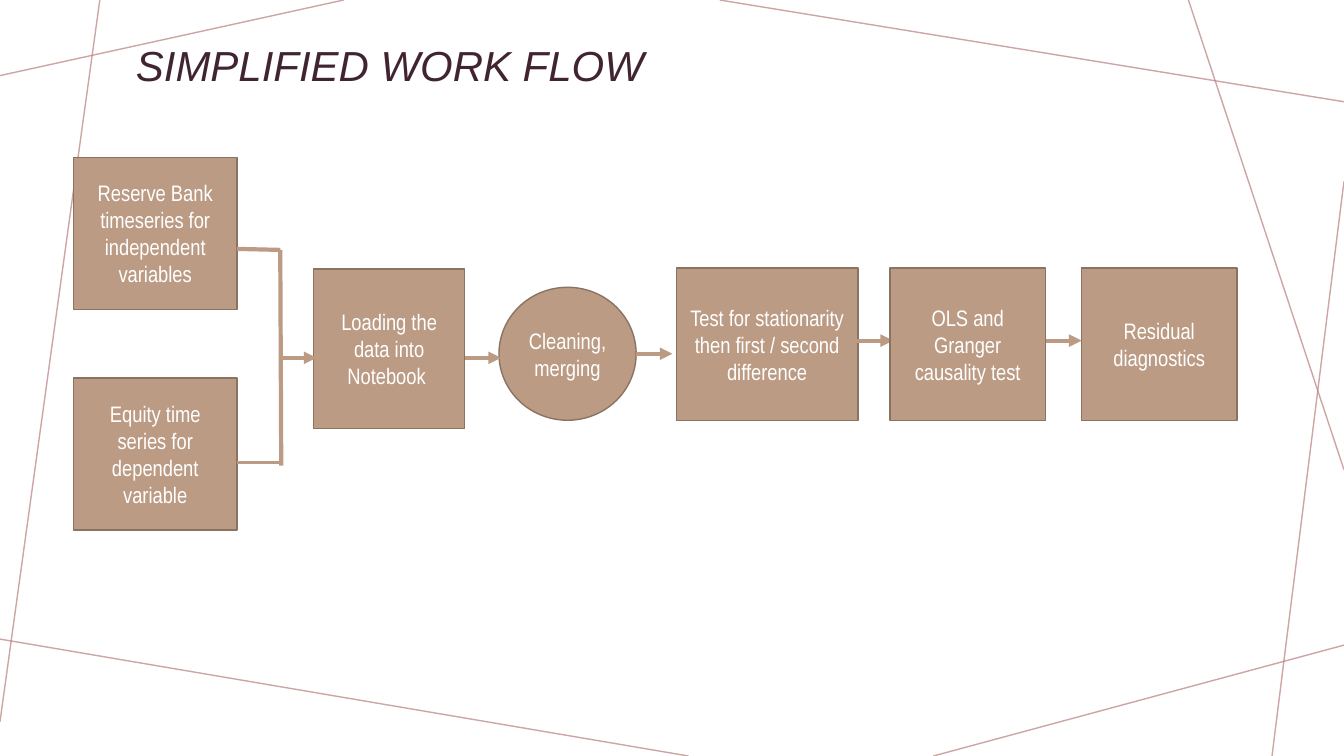
from collections import namedtuple

from lxml.etree import SubElement
from pptx import Presentation
from pptx.dml.color import RGBColor
from pptx.enum.shapes import MSO_CONNECTOR as Connector, MSO_SHAPE as Shape
from pptx.enum.text import MSO_ANCHOR as Anchor, PP_ALIGN as Align
from pptx.oxml.ns import qn
from pptx.util import Pt

ROSE = RGBColor(0xBA, 0x7F, 0x80)
PLUM = RGBColor(0x41, 0x24, 0x31)
TAN = RGBColor(0xBC, 0x9B, 0x84)
BROWN = RGBColor(0x8B, 0x73, 0x62)
WHITE = RGBColor(0xFF, 0xFF, 0xFF)

Box = namedtuple("Box", "left top width height")
PAGE = Box(0, 0, 960, 540)
TITLE = Box(90, -5.8, 780, 108.7)
FLOW = Box(52.6, 112.3, 831, 266.4)

STEP_HEIGHT = 108.7
STEP_MARGIN = 6.7
SOURCE_WIDTH = 116.6
TEST_WIDTH = 110.9
ARROW_LENGTH = 25.9
JOIN_X = 147.6

BACKDROP = [
    (245.5, 0, 0, 54),
    (71.3, 0, 0, 515.5),
    (491.8, 540, 0, 456.5),
    (960, 460.8, 666.7, 540),
    (960, 129.6, 908.6, 540),
    (960, 335.5, 848.9, 0),
    (960, 72.7, 514.1, 0),
]
PREPARATION = [
    ("Reserve Bank timeseries for independent variables",
     Shape.RECTANGLE, Box(0, 0, SOURCE_WIDTH, STEP_HEIGHT)),
    ("Equity time series for dependent variable",
     Shape.RECTANGLE, Box(0, 157.7, SOURCE_WIDTH, STEP_HEIGHT)),
    ("Loading the data into Notebook ",
     Shape.RECTANGLE, Box(171.4, 79.9, 108, 113.8)),
    ("Test for stationarity then first / second difference",
     Shape.RECTANGLE, Box(430.6, 79.2, 129.6, STEP_HEIGHT)),
    ("Cleaning, merging", Shape.OVAL, Box(303.8, 92.9, 98, 95)),
]
ANALYSIS = [
    ("OLS and Granger causality test",
     Shape.RECTANGLE, Box(583.2, 79.2, TEST_WIDTH, STEP_HEIGHT)),
    ("Residual diagnostics",
     Shape.RECTANGLE, Box(720, 79.2, TEST_WIDTH, STEP_HEIGHT)),
]
BRACKET = [
    (SOURCE_WIDTH, 65.5, JOIN_X, 66.2, 3),
    (SOURCE_WIDTH, 218.2, 149.8, 218.2, 2.25),
    (148.3, 220.3, JOIN_X, 66.2, 3),
]
ARROW_STARTS = [(JOIN_X, 143.3), (279.4, 143.3), (401.8, 140.4),
                (559.4, 131), (694.1, 131)]


def add_line(page, box, ends, color, width):
    """Draw a straight, shadowless line with ends relative to the box."""
    x1, y1, x2, y2 = ends
    line = page.shapes.add_connector(
        Connector.STRAIGHT, Pt(box.left + x1), Pt(box.top + y1),
        Pt(box.left + x2), Pt(box.top + y2))
    line.line.color.rgb = color
    line.line.width = Pt(width)
    SubElement(line._element.spPr, qn("a:effectLst"))
    return line


def add_backdrop(page, box):
    """Draw the translucent lines that cross the page."""
    for ends in BACKDROP:
        line = add_line(page, box, ends, ROSE, 1)
        color = line._element.spPr.find(".//" + qn("a:srgbClr"))
        SubElement(color, qn("a:alpha"), val="70000")


def add_title(page, box):
    """Write the slide title in the box."""
    title = page.shapes.add_textbox(*map(Pt, box))
    frame = title.text_frame
    frame.word_wrap = True
    frame.vertical_anchor = Anchor.MIDDLE
    para = frame.paragraphs[0]
    para.text = "SIMPLIFIED WORK FLOW"
    para.line_spacing = 0.9
    para.font.name = "Arial"
    para.font.size = Pt(30)
    para.font.italic = True
    para.font.color.rgb = PLUM


def add_step(page, box, text, outline, place):
    """Draw one labelled step at its place in the box."""
    step = page.shapes.add_shape(
        outline, Pt(box.left + place.left), Pt(box.top + place.top),
        Pt(place.width), Pt(place.height))
    step.shadow.inherit = False
    step.fill.solid()
    step.fill.fore_color.rgb = TAN
    step.line.color.rgb = BROWN
    step.line.width = Pt(1)
    frame = step.text_frame
    frame.word_wrap = True
    frame.margin_left = frame.margin_right = Pt(STEP_MARGIN)
    frame.vertical_anchor = Anchor.MIDDLE
    para = frame.paragraphs[0]
    para.text = text
    para.alignment = Align.CENTER
    para.font.name = "Arial Narrow"
    para.font.size = Pt(16)
    para.font.color.rgb = WHITE


def add_flow(page, box):
    """Draw the steps, the bracket that joins the sources and the arrows."""
    for step in PREPARATION:
        add_step(page, box, *step)
    for *ends, width in BRACKET:
        add_line(page, box, ends, TAN, width)
    for x, y in ARROW_STARTS:
        arrow = add_line(page, box, (x, y, x + ARROW_LENGTH, y), TAN, 3)
        outline = arrow._element.spPr.find(qn("a:ln"))
        SubElement(outline, qn("a:tailEnd"), type="triangle")
    for step in ANALYSIS:
        add_step(page, box, *step)


def main():
    """Build the deck and save it."""
    deck = Presentation()
    deck.slide_width = Pt(PAGE.width)
    deck.slide_height = Pt(PAGE.height)
    page = deck.slides.add_slide(deck.slide_layouts[6])
    add_backdrop(page, PAGE)
    add_title(page, TITLE)
    add_flow(page, FLOW)
    deck.save("out.pptx")


if __name__ == "__main__":
    main()
